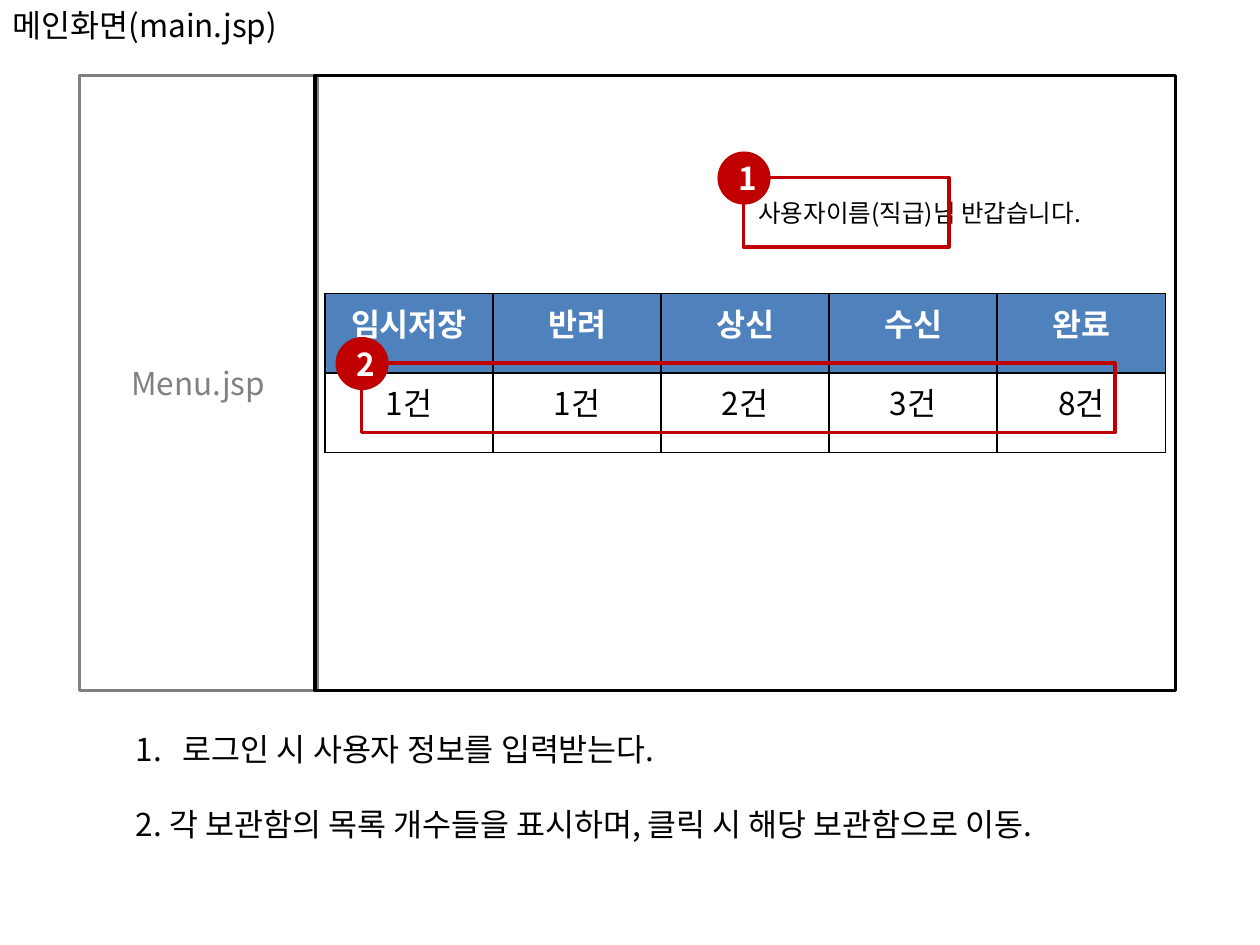
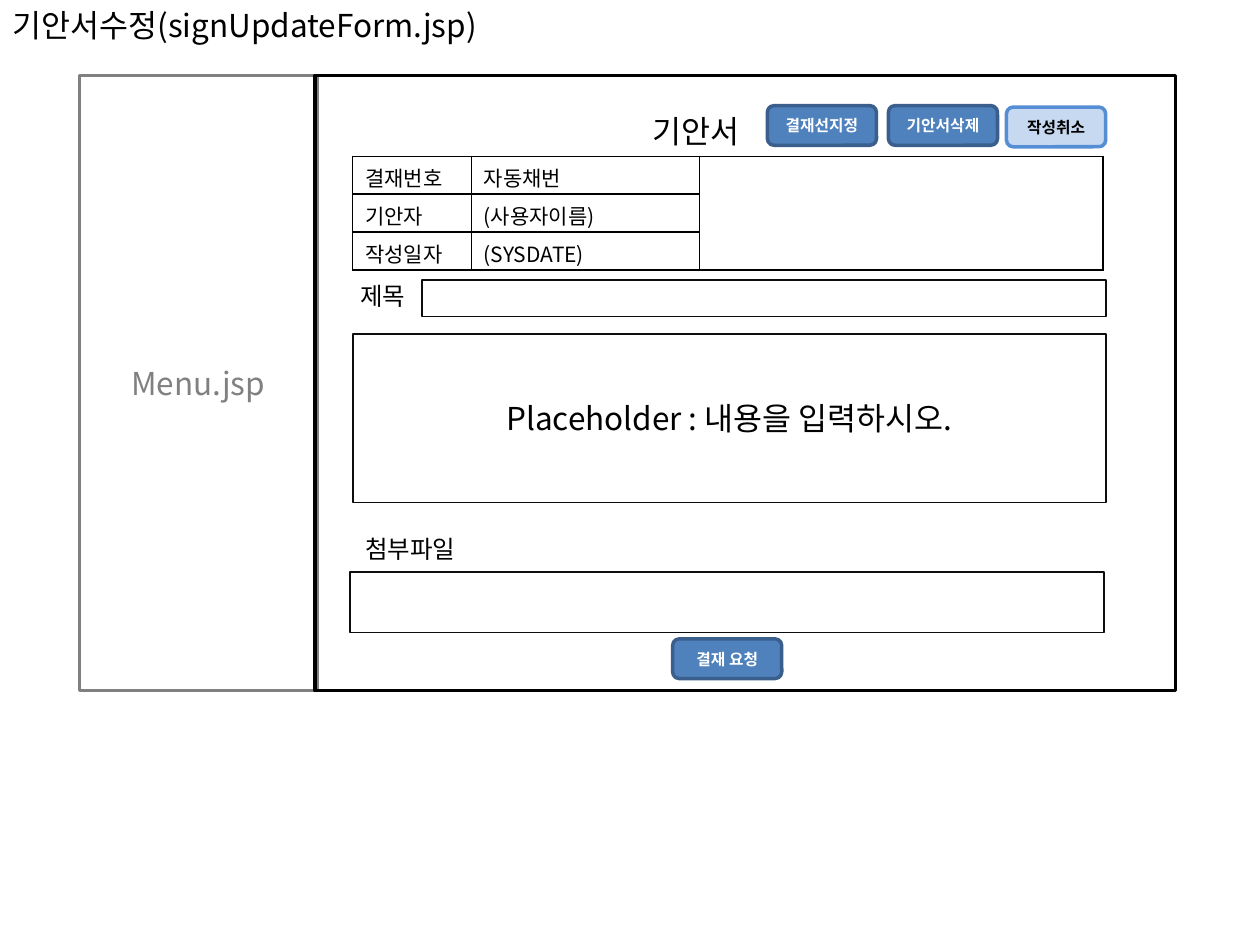
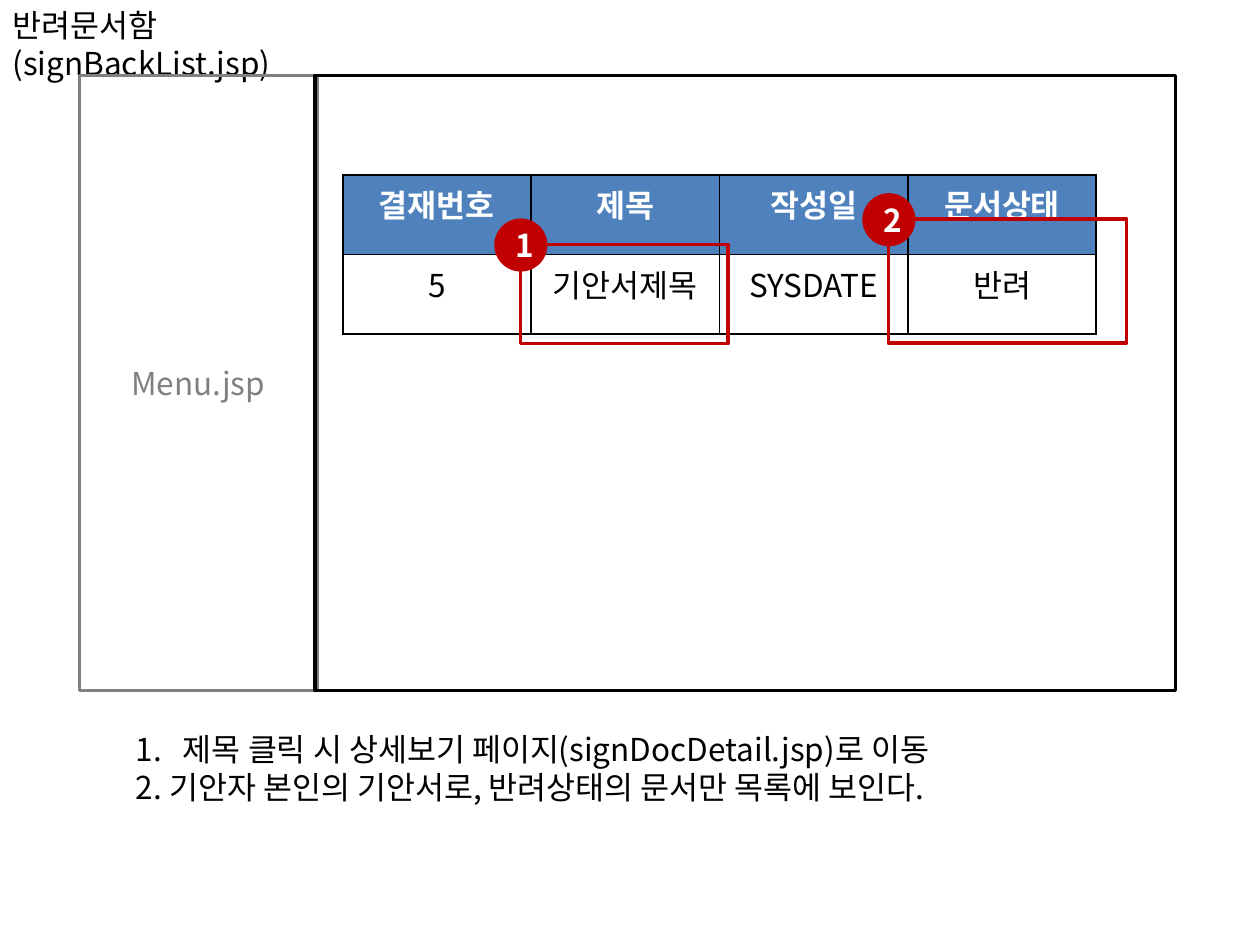
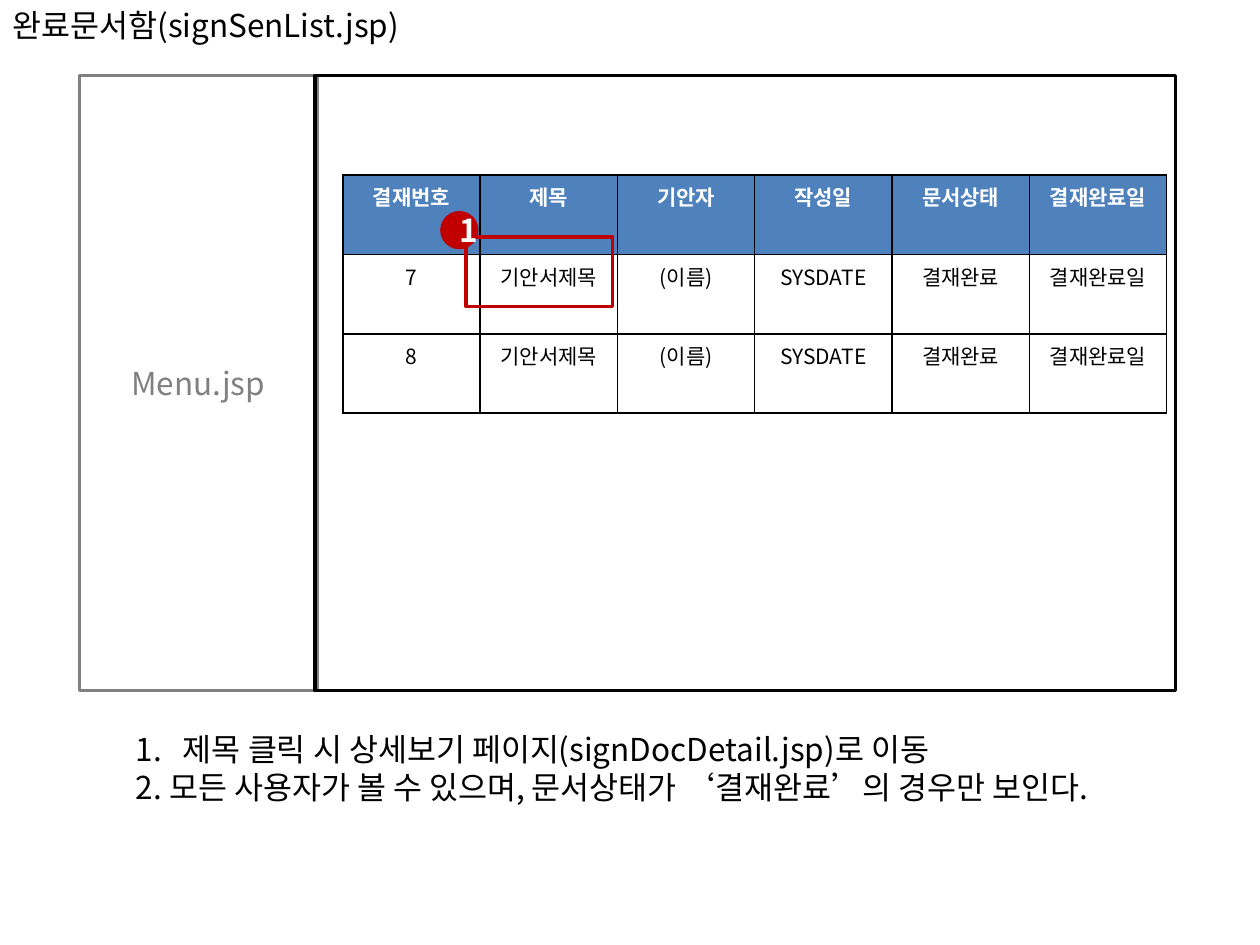
"""Build four wireframe pages of a document approval system."""
from dataclasses import dataclass

from lxml import etree
from pptx import Presentation
from pptx.dml.color import RGBColor
from pptx.enum.shapes import MSO_SHAPE
from pptx.enum.text import MSO_ANCHOR, MSO_AUTO_SIZE, PP_ALIGN
from pptx.oxml.ns import qn
from pptx.util import Cm, Pt

RECTANGLE = MSO_SHAPE.RECTANGLE
ROUNDED = MSO_SHAPE.ROUNDED_RECTANGLE
OVAL = MSO_SHAPE.OVAL
LEFT = PP_ALIGN.LEFT
CENTER = PP_ALIGN.CENTER
TOP = MSO_ANCHOR.TOP
MIDDLE = MSO_ANCHOR.MIDDLE
FIT_SHAPE = MSO_AUTO_SIZE.SHAPE_TO_FIT_TEXT

FONT = "Noto Sans CJK KR"
BLACK, WHITE, GRAY = "000000", "FFFFFF", "808080"
FIELD_LINE = "0D0D0D"
BLUE, BLUE_LINE = "4F81BD", "3A5F8C"
PALE_BLUE, PALE_LINE = "C6D9F1", "558ED5"
RED = "C00000"
TITLE_ONLY = 5
BADGE_OFFSET = 0.49
LINE_GAP = 21


@dataclass(frozen=True)
class Box:
    """Position and size in centimetres."""
    left: float
    top: float
    width: float
    height: float

    def lengths(self) -> tuple:
        """Return the four values as lengths."""
        return Cm(self.left), Cm(self.top), Cm(self.width), Cm(self.height)


@dataclass(frozen=True)
class Style:
    """Look of a piece of text."""
    size: float = 18
    color: str = BLACK
    bold: bool = False
    align: PP_ALIGN = LEFT


@dataclass(frozen=True)
class Look:
    """Outline, fill and geometry of a shape."""
    line: str
    weight: float = 2
    fill: str | None = None
    kind: MSO_SHAPE = RECTANGLE


@dataclass(frozen=True)
class Callout:
    """Red frame with a numbered badge at its corner."""
    frame: Box
    diameter: float = 1


FIELD = Look(FIELD_LINE, 1)
PRIMARY = Look(BLUE_LINE, fill=BLUE, kind=ROUNDED)
SECONDARY = Look(PALE_LINE, fill=PALE_BLUE, kind=ROUNDED)
FRAME = Look(RED)
BADGE = Look(RED, fill=RED, kind=OVAL)
BADGE_TEXT = Style(18, WHITE, True, CENTER)


def rgb(value: str) -> RGBColor:
    """Turn a hex string into a colour."""
    return RGBColor.from_string(value)


def format_text(text_frame, style: Style) -> None:
    """Format every paragraph and run of a text frame."""
    for paragraph in text_frame.paragraphs:
        paragraph.alignment = style.align
        for span in paragraph.runs:
            font = span.font
            font.size, font.bold, font.name = Pt(style.size), style.bold, FONT
            font.color.rgb = rgb(style.color)
            etree.SubElement(font._element, qn("a:ea"), typeface=FONT)


def add_text(page, box: Box, text: str, style: Style):
    """Add a wrapping text box and return its text frame."""
    text_frame = page.shapes.add_textbox(*box.lengths()).text_frame
    text_frame.word_wrap = True
    text_frame.auto_size = FIT_SHAPE
    text_frame.text = text
    format_text(text_frame, style)
    return text_frame


def add_box(page, box: Box, look: Look, text: str = "", style: Style = Style(align=CENTER)) -> None:
    """Add a preset shape with optional text."""
    shape = page.shapes.add_shape(look.kind, *box.lengths())
    shape.shadow.inherit = False
    shape.line.color.rgb = rgb(look.line)
    shape.line.width = Pt(look.weight)
    if look.fill:
        shape.fill.solid()
        shape.fill.fore_color.rgb = rgb(look.fill)
    else:
        shape.fill.background()
    if text:
        shape.text_frame.text = text
        shape.text_frame.vertical_anchor = MIDDLE
        format_text(shape.text_frame, style)


def add_button(page, box: Box, text: str, look: Look = PRIMARY) -> None:
    """Add a rounded button with a small bold label."""
    color = WHITE if look is PRIMARY else BLACK
    add_box(page, box, look, text, Style(9, color, True, CENTER))


def add_callouts(page, *callouts: Callout) -> None:
    """Number and draw the callouts of a page."""
    for number, callout in enumerate(callouts, 1):
        frame = callout.frame
        add_box(page, frame, FRAME)
        badge = Box(frame.left - BADGE_OFFSET, frame.top - BADGE_OFFSET,
                    callout.diameter, callout.diameter)
        add_box(page, badge, BADGE, str(number), BADGE_TEXT)


def format_cell(cell, text: str, style: Style, fill: str | None) -> None:
    """Set text, fill and black borders of a table cell."""
    cell.text = text
    format_text(cell.text_frame, style)
    if not text:
        paragraph = cell.text_frame.paragraphs[0]
        etree.SubElement(paragraph._p, qn("a:endParaRPr"), sz=str(style.size * 100))
    properties = cell._tc.get_or_add_tcPr()
    for side in ("a:lnL", "a:lnR", "a:lnT", "a:lnB"):
        border = etree.SubElement(properties, qn(side), w=str(Pt(1)))
        paint = etree.SubElement(border, qn("a:solidFill"))
        etree.SubElement(paint, qn("a:srgbClr"), val=BLACK)
    if fill:
        cell.fill.solid()
        cell.fill.fore_color.rgb = rgb(fill)
    else:
        cell.fill.background()


def add_grid(page, box: Box, rows: list, widths: list, size: int, header: bool):
    """Add a bordered table with equal rows and return it."""
    table = page.shapes.add_table(len(rows), len(widths), *box.lengths()).table
    table.first_row = table.horz_banding = False
    for column, width in zip(table.columns, widths):
        column.width = Cm(width)
    for index, texts in enumerate(rows):
        is_header = header and index == 0
        style = Style(size, WHITE if is_header else BLACK, is_header, CENTER if header else LEFT)
        for column, text in enumerate(texts):
            format_cell(table.cell(index, column), text, style, BLUE if is_header else None)
    return table


def add_list(page, left: float, top: float, width: float, rows: list, size: int = 18) -> None:
    """Add a document list with a blue header and equal columns."""
    count = len(rows[0])
    box = Box(left, top, width, 1.6 * len(rows))
    add_grid(page, box, rows, [width / count] * count, size, True)


def add_notes(page, first: str, second: str, gap: float = 0) -> None:
    """Add the two explanations below the wireframe."""
    height = 2.57 if gap else 1.8
    text_frame = add_text(page, Box(2.49, 14.6, 21, height), f"{first}\n2. {second}", Style())
    numbered, plain = text_frame.paragraphs
    properties = numbered._p.get_or_add_pPr()
    properties.set("marL", str(Cm(0.95)))
    properties.set("indent", str(-Cm(0.95)))
    etree.SubElement(properties, qn("a:buFont"), typeface="+mj-lt")
    etree.SubElement(properties, qn("a:buAutoNum"), type="arabicPeriod")
    plain.space_before = Pt(gap)


def add_page(deck, title: str, title_width: float):
    """Add a page with its title, menu pane and content pane."""
    page = deck.slides.add_slide(deck.slide_layouts[TITLE_ONLY])
    heading = page.shapes.title
    heading.left, heading.top, heading.width, heading.height = Box(0, 0, title_width, 1.02).lengths()
    text_frame = heading.text_frame
    text_frame.text = title
    text_frame.word_wrap = True
    text_frame.auto_size = FIT_SHAPE
    text_frame.vertical_anchor = TOP
    format_text(text_frame, Style())
    add_box(page, Box(1.6, 1.52, 4.8, 12.4), Look(GRAY), "Menu.jsp", Style(color=GRAY, align=CENTER))
    add_box(page, Box(6.35, 1.52, 17.35, 12.4), Look(BLACK))
    return page


def build_main(deck) -> None:
    """Build the main page."""
    page = add_page(deck, "메인화면(main.jsp)", 8)
    add_text(page, Box(15.04, 3.86, 8.2, 0.86), "사용자이름(직급)님 반갑습니다.", Style(14))
    add_list(page, 6.55, 5.92, 16.94, [
        ["임시저장", "반려", "상신", "수신", "완료"],
        ["1건", "1건", "2건", "3건", "8건"],
    ])
    add_callouts(page, Callout(Box(14.99, 3.58, 4.14, 1.4)), Callout(Box(7.29, 7.32, 15.19, 1.4)))
    add_notes(page, "로그인 시 사용자 정보를 입력받는다.",
              "각 보관함의 목록 개수들을 표시하며, 클릭 시 해당 보관함으로 이동.", LINE_GAP)


def build_update_form(deck) -> None:
    """Build the draft editing form."""
    page = add_page(deck, "기안서수정(signUpdateForm.jsp)", 17.1)
    rows = [["결재번호", "자동채번", ""], ["기안자", "(사용자이름)", ""], ["작성일자", "(SYSDATE)", ""]]
    table = add_grid(page, Box(7.11, 3.15, 15.13, 2.28), rows, [2.39, 4.6, 8.14], 12, False)
    table.cell(0, 2).merge(table.cell(2, 2))
    add_text(page, Box(12.9, 2.13, 2.8, 1.02), "기안서", Style())
    add_text(page, Box(7.01, 5.54, 1.8, 0.86), "제목", Style(14))
    add_box(page, Box(8.51, 5.64, 13.79, 0.74), FIELD)
    add_box(page, Box(7.11, 6.73, 15.19, 3.4), FIELD, "Placeholder : 내용을 입력하시오.")
    add_text(page, Box(7.11, 10.64, 3.2, 0.86), "첨부파일", Style(14))
    add_box(page, Box(7.06, 11.53, 15.19, 1.22), FIELD)
    add_button(page, Box(15.47, 2.13, 2.2, 0.8), "결재선지정")
    add_button(page, Box(17.91, 2.13, 2.2, 0.8), "기안서삭제")
    add_button(page, Box(20.29, 2.16, 2, 0.8), "작성취소", SECONDARY)
    add_button(page, Box(13.56, 12.88, 2.2, 0.8), "결재 요청")


def build_returned(deck) -> None:
    """Build the list of returned documents."""
    page = add_page(deck, "반려문서함(signBackList.jsp)", 8.5)
    add_list(page, 6.91, 3.53, 15.19, [
        ["결재번호", "제목", "작성일", "문서상태"],
        ["5", "기안서제목", "SYSDATE", "반려"],
    ])
    add_callouts(page, Callout(Box(10.49, 4.93, 4.19, 2)), Callout(Box(17.91, 4.42, 4.8, 2.5)))
    add_notes(page, "제목 클릭 시 상세보기 페이지(signDocDetail.jsp)로 이동",
              "기안자 본인의 기안서로, 반려상태의 문서만 목록에 보인다.")


def build_completed(deck) -> None:
    """Build the list of completed documents."""
    page = add_page(deck, "완료문서함(signSenList.jsp)", 8.5)
    details = ["기안서제목", "(이름)", "SYSDATE", "결재완료", "결재완료일"]
    add_list(page, 6.91, 3.53, 16.61, [
        ["결재번호", "제목", "기안자", "작성일", "문서상태", "결재완료일"],
        ["7", *details],
        ["8", *details],
    ], 12)
    add_callouts(page, Callout(Box(9.4, 4.78, 2.95, 1.4), 0.7))
    add_notes(page, "제목 클릭 시 상세보기 페이지(signDocDetail.jsp)로 이동",
              "모든 사용자가 볼 수 있으며, 문서상태가 ‘결재완료’의 경우만 보인다.")


def main() -> None:
    """Build and save the deck."""
    deck = Presentation()
    deck.slide_width, deck.slide_height = Cm(25.4), Cm(19.05)
    for build in (build_main, build_update_form, build_returned, build_completed):
        build(deck)
    deck.save("out.pptx")


main()
